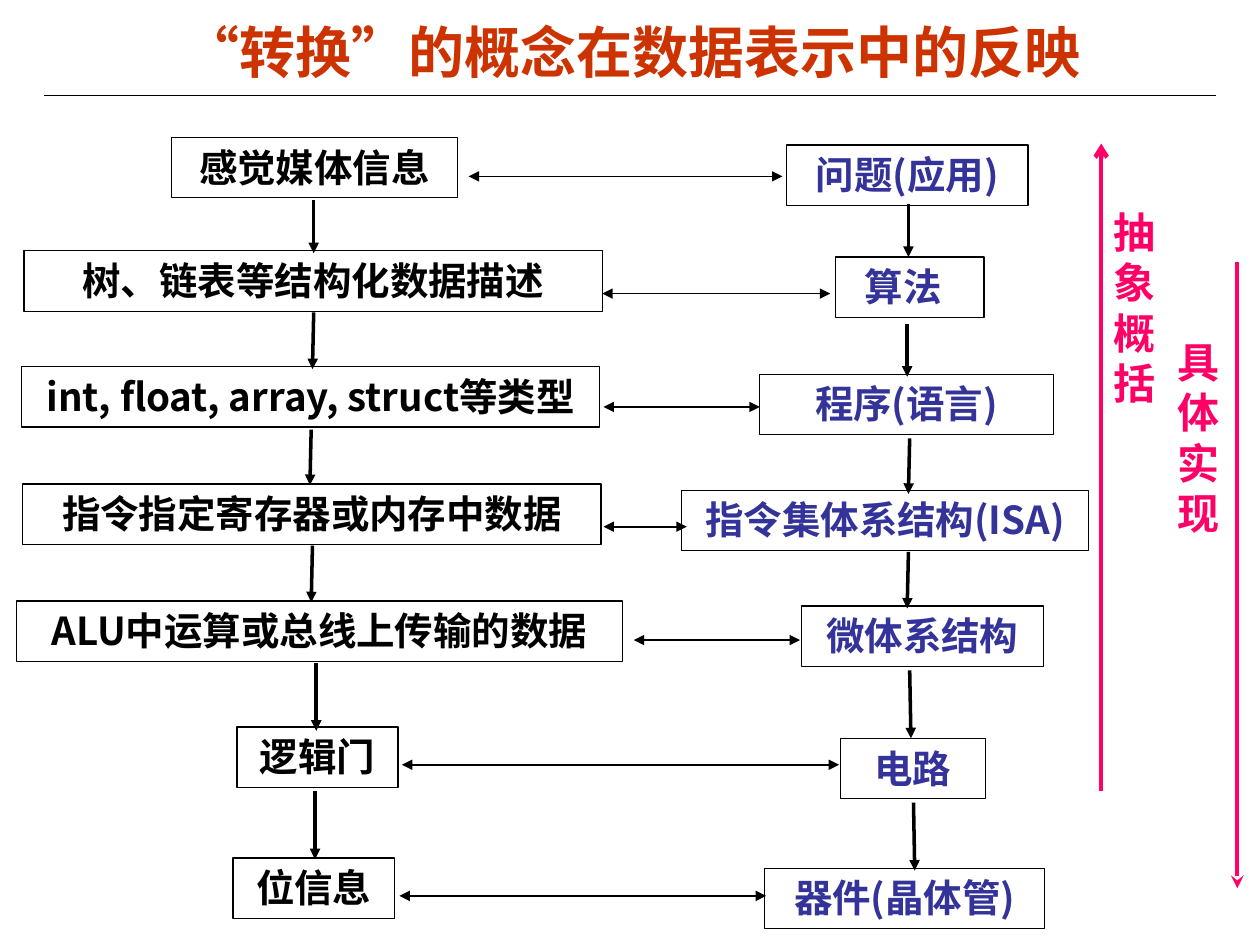
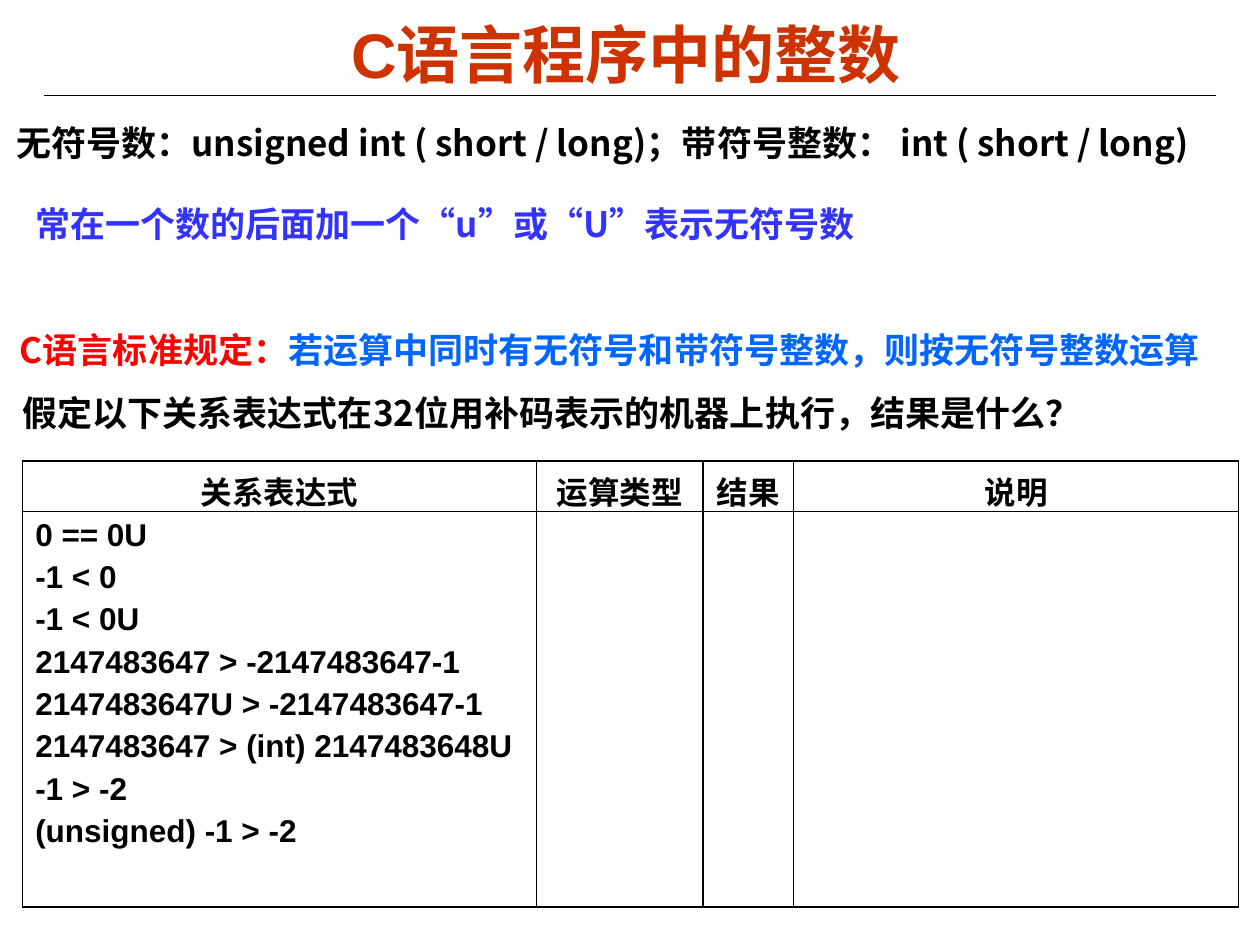
import pptx
import pptx.util
import pptx.dml.color
import pptx.enum.shapes
import pptx.enum.text
import pptx.oxml
import pptx.oxml.ns
from pptx.util import Inches

BLACK = pptx.dml.color.RGBColor(0x00, 0x00, 0x00)
BRICK = pptx.dml.color.RGBColor(0xCC, 0x33, 0x00)
PINK = pptx.dml.color.RGBColor(0xFF, 0x00, 0x66)
NAVY = pptx.dml.color.RGBColor(0x33, 0x33, 0x99)
VIOLET = pptx.dml.color.RGBColor(0x33, 0x33, 0xFF)
RED = pptx.dml.color.RGBColor(0xFF, 0x00, 0x00)
AZURE = pptx.dml.color.RGBColor(0x00, 0x66, 0xFF)

CJK = "Noto Sans CJK SC"
LATIN = "Arial"
SERIF = "Times New Roman"
LEFT = pptx.enum.text.PP_ALIGN.LEFT
CENTER = pptx.enum.text.PP_ALIGN.CENTER
NAMESPACE = pptx.oxml.ns.nsdecls("a")


def write(para, text, size, color, font=CJK, align=LEFT):
    para.text = text
    para.alignment = align
    para.font.size = pptx.util.Pt(size)
    para.font.bold = True
    para.font.color.rgb = color
    para.font.name = font
    para.font._element.append(pptx.oxml.parse_xml(f'<a:ea {NAMESPACE} typeface="{CJK}"/>'))


def draw_line(page, start, end, width, color=BLACK, head=None, tail=None):
    line = page.shapes.add_connector(
        pptx.enum.shapes.MSO_CONNECTOR.STRAIGHT,
        Inches(start[0]), Inches(start[1]), Inches(end[0]), Inches(end[1]))
    line.line.width = pptx.util.Pt(width)
    line.line.color.rgb = color
    stroke = line.line._get_or_add_ln()
    for tag, kind in (("headEnd", head), ("tailEnd", tail)):
        if kind:
            stroke.append(pptx.oxml.parse_xml(f'<a:{tag} {NAMESPACE} type="{kind}"/>'))
    line._element.spPr.append(pptx.oxml.parse_xml(f"<a:effectLst {NAMESPACE}/>"))


deck = pptx.Presentation()
deck.slide_width = Inches(10)
deck.slide_height = Inches(7.5)

titles = [
    ("“转换”的概念在数据表示中的反映", 32, CJK, (0.88, 0.11, 8.28, 0.59)),
    ("C语言程序中的整数", 36, LATIN, (0.47, 0.09, 9, 0.66)),
]
pages = []
for title, size, font, place in titles:
    page = deck.slides.add_slide(deck.slide_layouts[6])
    pages.append(page)
    draw_line(page, (0.35, 0.76), (9.65, 0.76), 0.75)
    box = page.shapes.add_textbox(*map(Inches, place))
    frame = box.text_frame
    frame.word_wrap = True
    frame.vertical_anchor = pptx.enum.text.MSO_ANCHOR.MIDDLE
    frame.margin_left = frame.margin_right = Inches(0.07)
    frame.margin_top = frame.margin_bottom = Inches(0.03)
    write(frame.paragraphs[0], title, size, BRICK, font, CENTER)

levels_page, integers_page = pages

draw_line(levels_page, (9.82, 2.08), (9.82, 7.05), 2.5, PINK, tail="stealth")
draw_line(levels_page, (8.74, 1.14), (8.74, 6.28), 2.5, PINK, head="arrow")
for label, left, top in (("具体实现", 9.25, 2.62), ("抽象概括", 8.74, 1.59)):
    box = levels_page.shapes.add_textbox(Inches(left), Inches(top), Inches(0.52), Inches(1.7))
    box.text_frame.word_wrap = True
    write(box.text_frame.paragraphs[0], label, 24, PINK, SERIF)

BOX_HEIGHT = 0.48
data_levels = [
    ("感觉媒体信息", 1.36, 1.09, 2.27),
    ("树、链表等结构化数据描述", 0.19, 1.99, 4.59),
    ("int, float, array, struct等类型", 0.17, 2.91, 4.59),
    ("指令指定寄存器或内存中数据", 0.18, 3.84, 4.59),
    ("ALU中运算或总线上传输的数据", 0.13, 4.77, 4.81),
    ("逻辑门", 1.88, 5.77, 1.28),
    ("位信息", 1.85, 6.81, 1.28),
]
system_levels = [
    ("问题(应用)", 6.24, 1.15, 1.92),
    ("算法", 6.63, 2.04, 1.18),
    ("程序(语言)", 6.03, 2.97, 2.33),
    ("指令集体系结构(ISA)", 5.41, 3.89, 3.23),
    ("微体系结构", 6.36, 4.81, 1.92),
    ("电路", 6.67, 5.86, 1.15),
    ("器件(晶体管)", 6.07, 6.89, 2.22),
]
for levels, color in ((data_levels, BLACK), (system_levels, NAVY)):
    for text, left, top, width in levels:
        box = levels_page.shapes.add_shape(
            pptx.enum.shapes.MSO_SHAPE.RECTANGLE,
            Inches(left), Inches(top), Inches(width), Inches(BOX_HEIGHT))
        box.shadow.inherit = False
        box.fill.background()
        box.line.color.rgb = BLACK
        box.line.width = pptx.util.Pt(0.75)
        frame = box.text_frame
        frame.word_wrap = True
        frame.vertical_anchor = pptx.enum.text.MSO_ANCHOR.TOP
        write(frame.paragraphs[0], text, 22, color, align=CENTER)
        if text == "算法":
            frame.margin_right = Inches(0.2)
        if "ISA" in text:
            frame.margin_left = frame.margin_right = 0

data_steps = [(2.49, 1.59, 2.49, 2.01), (2.49, 2.48, 2.48, 2.93), (2.47, 3.41, 2.46, 3.85),
              (2.48, 4.33, 2.47, 4.78), (2.51, 5.26, 2.51, 5.8), (2.5, 6.28, 2.5, 6.82)]
system_steps = [(7.21, 1.62, 7.21, 2.04), (7.2, 2.57, 7.2, 2.99), (7.22, 3.48, 7.21, 3.92),
                (7.21, 4.38, 7.2, 4.83), (7.22, 5.32, 7.23, 5.86), (7.25, 6.37, 7.26, 6.91)]
for step in data_steps + system_steps:
    draw_line(levels_page, step[:2], step[2:], 2, tail="triangle")

links = [(6.21, 3.72, 1.4), (6.59, 4.78, 2.33), (6.03, 4.79, 3.23), (5.45, 4.79, 4.18),
         (6.35, 5.03, 5.08), (6.66, 3.19, 6.07), (6.08, 3.17, 7.11)]
for right, left, height in links:
    draw_line(levels_page, (right, height), (left, height), 1, head="triangle", tail="triangle")

columns = [("关系表达式", 4.08), ("运算类型", 1.32), ("结果", 0.72), ("说明", 3.53)]
expressions = [
    "0 == 0U",
    "-1 < 0",
    "-1 < 0U",
    "2147483647 > -2147483647-1",
    "2147483647U > -2147483647-1",
    "2147483647 > (int) 2147483648U",
    "-1 > -2",
    "(unsigned) -1 > -2",
]
table = integers_page.shapes.add_table(
    2, len(columns), Inches(0.18), Inches(3.66), Inches(9.65), Inches(3.54)).table
table.first_row = False
table.horz_banding = False
table.rows[0].height = Inches(0.4)
table.rows[1].height = Inches(3.14)
for index, (heading, width) in enumerate(columns):
    table.columns[index].width = Inches(width)
    write(table.cell(0, index).text_frame.paragraphs[0], heading, 18, BLACK, LATIN, CENTER)
frame = table.cell(1, 0).text_frame
for index, expression in enumerate(expressions):
    para = frame.add_paragraph() if index else frame.paragraphs[0]
    write(para, expression, 18, BLACK, LATIN)
    para.space_before = pptx.util.Pt(4)
for cell in table.iter_cells():
    properties = cell._tc.get_or_add_tcPr()
    for side in ("lnL", "lnR", "lnT", "lnB"):
        properties.append(pptx.oxml.parse_xml(
            f'<a:{side} {NAMESPACE} w="12700"><a:solidFill>'
            f'<a:srgbClr val="{BLACK}"/></a:solidFill></a:{side}>'))
    cell.fill.background()

notes = [
    ([("无符号数：unsigned int ( short / long)；带符号整数： int ( short / long)", BLACK)],
     (0.03, 0.85, 9.94, 0.47), 1.2, 6),
    ([("常在一个数的后面加一个“u”或“U”表示无符号数", VIOLET)],
     (0.18, 1.49, 7.43, 0.47), 1.2, 6),
    ([("C语言标准规定：", RED), ("若运算中同时有无符号和带符号整数，则按无符号整数运算", AZURE)],
     (0.06, 2.49, 9.77, 0.47), 1.2, 6),
    ([("假定以下关系表达式在32位用补码表示的机器上执行，结果是什么？", BLACK)],
     (0.08, 3.06, 8.93, 0.43), 1, 10),
]
for spans, place, line_spacing, space_before in notes:
    box = integers_page.shapes.add_textbox(*map(Inches, place))
    box.text_frame.word_wrap = len(spans) == 1 and place[0] > 0.05
    para = box.text_frame.paragraphs[0]
    write(para, spans[0][0], 20, spans[0][1])
    para.line_spacing = line_spacing
    para.space_before = pptx.util.Pt(space_before)
    for text, color in spans[1:]:
        span = para.add_run()
        span.text = text
        span.font.color.rgb = color

deck.save("out.pptx")
